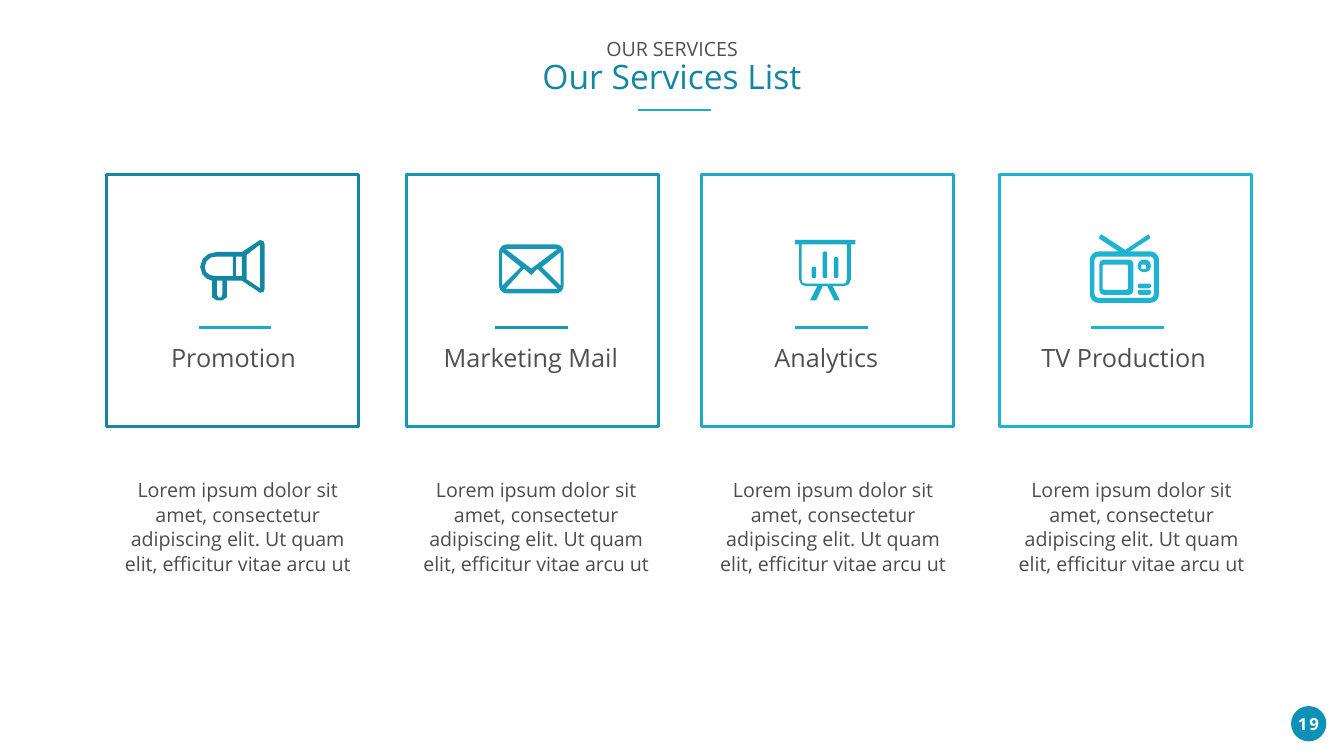
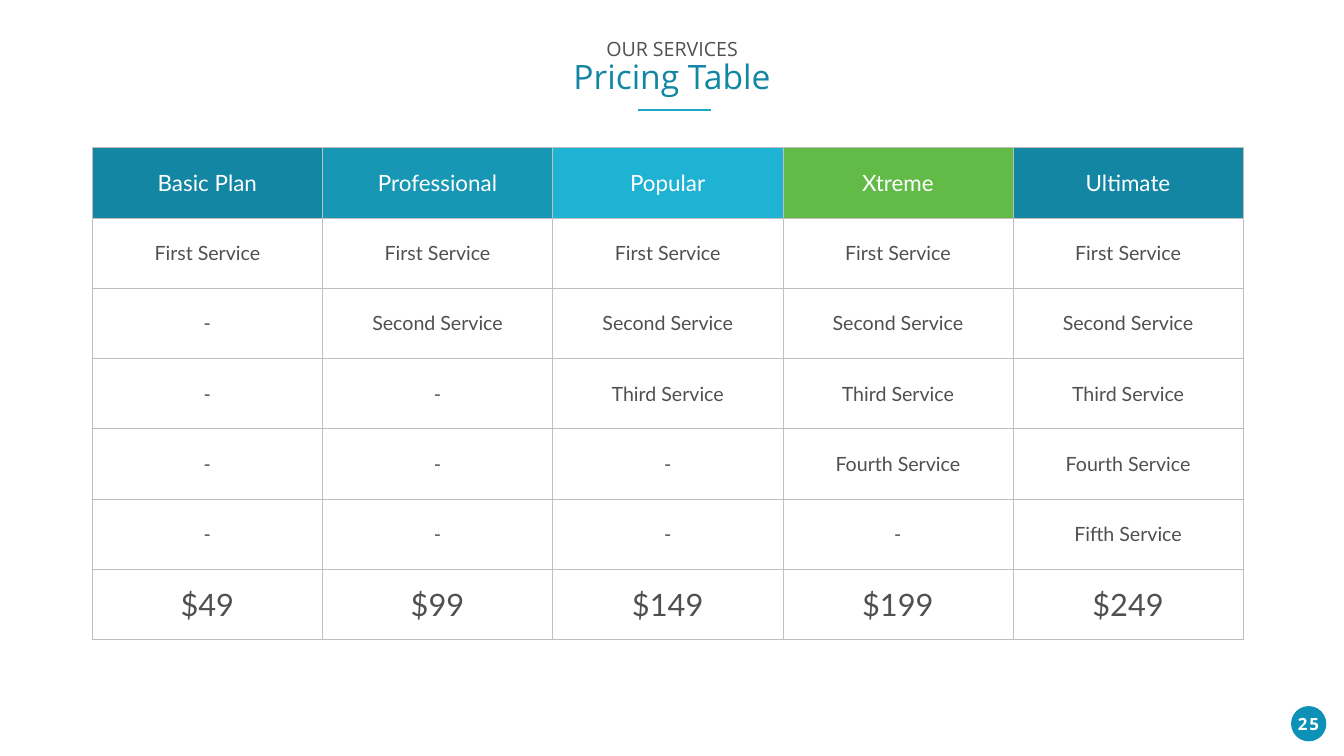
import math

import pptx
import pptx.dml.color
import pptx.enum.shapes
import pptx.enum.text
import pptx.oxml
import pptx.oxml.ns
import pptx.util
from pptx.util import Inches, Pt

RGBColor = pptx.dml.color.RGBColor
PP_ALIGN = pptx.enum.text.PP_ALIGN
MSO_ANCHOR = pptx.enum.text.MSO_ANCHOR
MSO_SHAPE = pptx.enum.shapes.MSO_SHAPE

# Colours and fonts
TEAL = RGBColor(0x13, 0x86, 0xA3)
OCEAN = RGBColor(0x18, 0x97, 0xB5)
AQUA = RGBColor(0x1C, 0xAA, 0xC9)
SKY = RGBColor(0x1F, 0xB3, 0xD3)
GREEN = RGBColor(0x61, 0xBB, 0x46)
BADGE = RGBColor(0x0E, 0x91, 0xB7)
GREY = RGBColor(0x50, 0x50, 0x50)
BODY_GREY = RGBColor(0x4C, 0x4C, 0x4C)
WHITE = RGBColor(0xFF, 0xFF, 0xFF)
BORDER = "BFBFBF"
SANS, LATO = "Open Sans", "Lato"

SLIDE_W, SLIDE_H = 26.66, 15
SECTION = "OUR SERVICES"
RULE_W = 1.44


def rounded(left, top, right, bottom, radius, steps=4):
    """Points of a rectangle with rounded corners."""
    corners = [(right - radius, bottom - radius), (left + radius, bottom - radius),
               (left + radius, top + radius), (right - radius, top + radius)]
    points = []
    for quarter, (cx, cy) in enumerate(corners):
        for step in range(steps + 1):
            angle = math.pi / 2 * (quarter + step / steps)
            points.append((cx + radius * math.cos(angle), cy + radius * math.sin(angle)))
    return points


# Icons: closed outlines, inner ones cut holes
MEGAPHONE = [
    [(5.16, 4.76), (4.8, 5), (4.3, 5), (4.13, 5.04), (4.02, 5.14), (3.97, 5.3),
     (4.02, 5.45), (4.1, 5.53), (4.21, 5.57), (4.21, 5.9), (4.3, 5.96), (4.41, 5.96),
     (4.5, 5.9), (4.5, 5.57), (4.8, 5.57), (5.16, 5.81), (5.23, 5.79), (5.25, 5.72),
     (5.25, 4.85), (5.23, 4.79)],
    [(4.41, 5.84), (4.39, 5.9), (4.33, 5.9), (4.3, 5.84), (4.3, 5.57), (4.41, 5.57)],
    [(4.62, 5.48), (4.3, 5.48), (4.17, 5.46), (4.09, 5.4), (4.06, 5.3), (4.1, 5.18),
     (4.18, 5.11), (4.3, 5.09), (4.62, 5.09)],
    [(4.8, 5.48), (4.68, 5.48), (4.68, 5.09), (4.8, 5.09)],
    [(5.16, 5.72), (4.89, 5.54), (4.89, 5.06), (5.16, 4.85)],
]
ENVELOPE = [
    rounded(9.9, 4.85, 11.18, 5.82, 0.15),
    [(11.06, 4.94), (10.54, 5.33), (10.03, 4.94)],
    [(9.96, 5.67), (9.96, 5), (10.33, 5.3)],
    [(10.03, 5.73), (10.39, 5.33), (10.54, 5.46), (10.66, 5.33), (11.06, 5.73)],
    [(11.12, 5.67), (10.75, 5.3), (11.12, 5)],
]
CHART_BOARD = [
    [(15.77, 4.76), (15.77, 4.85), (15.85, 4.85), (15.85, 5.54), (15.89, 5.64),
     (15.99, 5.68), (16.21, 5.68), (16.07, 5.96), (16.19, 5.96), (16.32, 5.68),
     (16.41, 5.68), (16.55, 5.96), (16.66, 5.96), (16.52, 5.68), (16.74, 5.68),
     (16.84, 5.64), (16.88, 5.54), (16.88, 4.85), (16.97, 4.85), (16.97, 4.76)],
    [(16.8, 5.54), (16.78, 5.61), (16.74, 5.63), (15.99, 5.63), (15.92, 5.61),
     (15.9, 5.54), (15.9, 4.85), (16.8, 4.85)],
] + [rounded(left, top, left + 0.09, 5.52, 0.04)
     for left, top in [(16.1, 5.29), (16.32, 4.99), (16.54, 5.1)]]
TELEVISION = [
    [(22.41, 4.99), (22.8, 4.74), (22.82, 4.7), (22.78, 4.65), (22.32, 4.96),
     (21.85, 4.65), (21.81, 4.68), (21.81, 4.74), (22.19, 4.99)],
    rounded(21.62, 4.99, 22.99, 6.01, 0.17),
    rounded(21.71, 5.09, 22.89, 5.91, 0.08),
    rounded(21.81, 5.15, 22.48, 5.85, 0.09),
    rounded(21.87, 5.25, 22.38, 5.75, 0.04),
    rounded(22.57, 5.15, 22.83, 5.4, 0.12),
    rounded(22.64, 5.25, 22.73, 5.34, 0.01),
    rounded(22.57, 5.63, 22.83, 5.72, 0.04),
    rounded(22.57, 5.75, 22.83, 5.85, 0.04),
]

# Services: name, card colour, rule colour, icon, then lefts of card, rule, body, label; label width
SERVICES = [
    ("Promotion", TEAL, AQUA, MEGAPHONE, 2.11, 3.94, 2.11, 3.18, 2.8),
    ("Marketing Mail", OCEAN, OCEAN, ENVELOPE, 8.06, 9.82, 8.03, 8.58, 3.8),
    ("Analytics", AQUA, AQUA, CHART_BOARD, 13.92, 15.77, 13.92, 15.15, 2.38),
    ("TV Production", SKY, SKY, TELEVISION, 19.82, 21.65, 19.84, 20.44, 3.6),
]
SERVICE_TEXT = ("Lorem ipsum dolor sit amet, consectetur adipiscing elit. "
                "Ut quam elit, efficitur vitae arcu ut")

# Pricing: each plan includes one service more than the plan before
PLANS = [("Basic Plan", TEAL, "$49"), ("Professional", OCEAN, "$99"),
         ("Popular", SKY, "$149"), ("Xtreme", GREEN, "$199"), ("Ultimate", TEAL, "$249")]
PLAN_SERVICES = [f"{rank} Service" for rank in ("First", "Second", "Third", "Fourth", "Fifth")]


def write(p, text, size, color, name=SANS, bold=False, **para):
    for key, value in dict(alignment=PP_ALIGN.CENTER, **para).items():
        setattr(p, key, value)
    r = p.add_run()
    r.text = text
    for key, value in dict(size=Pt(size), name=name, bold=bold).items():
        setattr(r.font, key, value)
    r.font.color.rgb = color
    return r


def text_box(s, left, top, width, height, **frame):
    tf = s.shapes.add_textbox(*map(Inches, (left, top, width, height))).text_frame
    for key, value in {"word_wrap": True, **frame}.items():
        setattr(tf, key, value)
    return tf


def outline(shape, fill=None, line=None, weight=0):
    shape.shadow.inherit = False
    if fill is None:
        shape.fill.background()
    else:
        shape.fill.solid()
        shape.fill.fore_color.rgb = fill
    if line is None:
        shape.line.fill.background()
    else:
        shape.line.color.rgb = line
        shape.line.width = Pt(weight)


def rule(s, left, y, color, weight):
    line = s.shapes.add_connector(pptx.enum.shapes.MSO_CONNECTOR.STRAIGHT,
                                  *map(Inches, (left + RULE_W, y, left, y)))
    line.line.color.rgb = color
    line.line.width = Pt(weight)
    line._element.spPr.append(pptx.oxml.parse_xml(
        f"<a:effectLst {pptx.oxml.ns.nsdecls('a')}/>"))


def icon(s, contours, color):
    fb = None
    for contour in contours:
        points = [(Inches(x), Inches(y)) for x, y in contour]
        if fb is None:
            fb = s.shapes.build_freeform(*points[0])
        else:
            fb.move_to(*points[0])
        fb.add_line_segments(points[1:], close=True)
    outline(fb.convert_to_shape(), fill=color)


def new_slide(prs, title, title_w, number):
    s = prs.slides.add_slide(prs.slide_layouts[6])
    # Page number badge
    badge = s.shapes.add_shape(MSO_SHAPE.OVAL, *map(Inches, (25.61, 14.01, 0.7, 0.7)))
    outline(badge, fill=BADGE)
    tf = text_box(s, 25.56, 14.11, 0.79, 0.5)
    r = write(tf.paragraphs[0], number, 24, WHITE, bold=True)
    r.font._element.set("spc", "300")
    # Title with a rule below
    tf = text_box(s, (SLIDE_W - title_w) / 2, 0.74, title_w, 1.25, word_wrap=False)
    write(tf.paragraphs[0], SECTION, 28, GREY, line_spacing=0.9)
    write(tf.add_paragraph(), title, 48, TEAL, line_spacing=0.9)
    rule(s, 12.66, 2.18, AQUA, 3)
    return s


def services_slide(prs):
    s = new_slide(prs, "Our Services List", 5.39, "19")
    for name, color, rule_color, contours, card_x, rule_x, body_x, label_x, label_w in SERVICES:
        card = s.shapes.add_shape(MSO_SHAPE.RECTANGLE, *map(Inches, (card_x, 3.46, 5, 5)))
        outline(card, line=color, weight=4.5)
        icon(s, contours, color)
        rule(s, rule_x, 6.49, rule_color, 4.5)
        tf = text_box(s, label_x, 6.75, label_w, 0.71, word_wrap=False,
                      margin_left=Inches(0.2))
        write(tf.paragraphs[0], name, 36, GREY)
        tf = text_box(s, body_x, 9, 5.01, 2.88, vertical_anchor=MSO_ANCHOR.MIDDLE,
                      margin_left=Inches(0.2), margin_right=0, margin_top=0, margin_bottom=0)
        write(tf.paragraphs[0], SERVICE_TEXT, 28, BODY_GREY, line_spacing=Pt(35))


def fill_cell(cell, text, size, color, fill=None):
    cell.vertical_anchor = MSO_ANCHOR.MIDDLE
    write(cell.text_frame.paragraphs[0], text, size, color, LATO)
    tc_pr = cell._tc.get_or_add_tcPr()
    for side in ("lnL", "lnR", "lnT", "lnB"):
        tc_pr.append(pptx.oxml.parse_xml(
            f'<a:{side} {pptx.oxml.ns.nsdecls("a")} w="9525"><a:solidFill>'
            f'<a:srgbClr val="{BORDER}"/></a:solidFill></a:{side}>'))
    if fill is None:
        cell.fill.background()
    else:
        cell.fill.solid()
        cell.fill.fore_color.rgb = fill


def pricing_slide(prs):
    s = new_slide(prs, "Pricing Table", 4.15, "25")
    n_rows = len(PLAN_SERVICES) + 2
    table = s.shapes.add_table(n_rows, len(PLANS),
                               *map(Inches, (1.83, 2.93, 22.83, 9.76))).table
    table.first_row = table.horz_banding = False
    for column in table.columns:
        column.width = Inches(22.83 / len(PLANS))
    for row in table.rows:
        row.height = Inches(9.76 / n_rows)
    for c, (plan, color, price) in enumerate(PLANS):
        fill_cell(table.cell(0, c), plan, 32, WHITE, color)
        for i, service in enumerate(PLAN_SERVICES):
            fill_cell(table.cell(i + 1, c), service if i <= c else "-", 28, GREY)
        fill_cell(table.cell(n_rows - 1, c), price, 44, GREY)


def main():
    prs = pptx.Presentation()
    prs.slide_width, prs.slide_height = Inches(SLIDE_W), Inches(SLIDE_H)
    services_slide(prs)
    pricing_slide(prs)
    prs.save("out.pptx")


if __name__ == "__main__":
    main()
